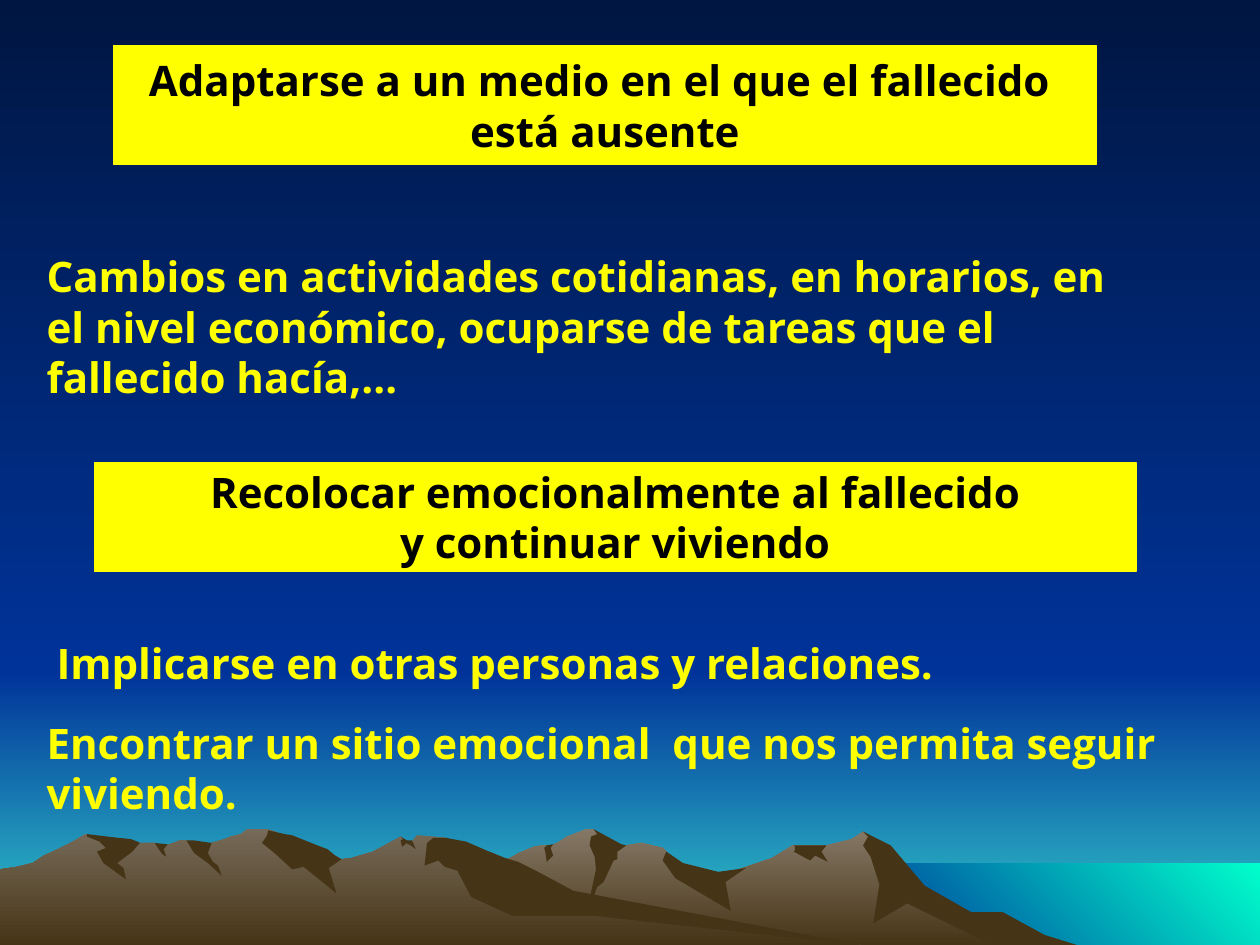
"""Build the slide on adapting to a loss, set over a mountain landscape."""
from pptx import Presentation
from pptx.dml.color import RGBColor
from pptx.enum.shapes import MSO_SHAPE as Shape
from pptx.enum.text import MSO_ANCHOR as Anchor, MSO_AUTO_SIZE as AutoSize, PP_ALIGN as Align
from pptx.util import Cm, Pt

NIGHT = RGBColor(0x00, 0x16, 0x42)
BLUE = RGBColor(0x00, 0x33, 0x99)
HORIZON = RGBColor(0x33, 0xCC, 0xCC)
AQUA = RGBColor(0x00, 0xFF, 0xCC)
FAR_ROCK = RGBColor(0x85, 0x78, 0x66)
NEAR_ROCK = RGBColor(0x76, 0x6A, 0x58)
BROWN = RGBColor(0x46, 0x34, 0x16)
YELLOW = RGBColor(0xFF, 0xFF, 0x00)
BLACK = RGBColor(0x00, 0x00, 0x00)

FONT = "Open Sans"
OUTLINE_UNIT = Cm(0.0254)
DOWN, UP_RIGHT = 270, 45

SKY = "1000,533 0,533 0,0 1000,0"
DUSK = "1000,750 0,750 0,533 1000,533"
SEA = "1000,752 683,752 683,685 1000,685"
FAR_RIDGE = (
    "802,740 778,727 764,723 723,698 702,671 685,660 676,666 656,671 629,671 613,681 "
    "566,697 536,690 529,676 526,673 509,669 497,671 486,673 474,661 471,658 465,658 "
    "450,664 444,668 438,671 430,671 424,672 412,677 405,681 394,685 355,698 327,709 "
    "277,739 258,751 821,751"
)
NEAR_RIDGE = (
    "690,751 667,748 432,712 354,665 331,663 327,668 323,668 318,664 296,676 279,681 "
    "271,682 260,676 236,681 223,663 219,660 212,658 196,658 191,662 183,664 178,666 "
    "168,669 160,671 148,667 143,667 132,671 128,671 123,669 111,669 94,671 68,662 "
    "56,669 46,674 35,679 26,685 14,688 0,690 0,751"
)
FAR_SHADOWS = (
    "796,724 771,724 734,703 707,671 685,660 689,664 685,671 691,680 698,702 693,733 "
    "720,717 792,752 858,751 829,742",
    "471,658 474,662 469,664 468,671 472,680 473,690 465,727 474,704 479,700 487,683 "
    "490,682 490,676 497,671 493,670",
    "529,676 528,678 526,683 536,697 580,723 576,700 592,689 570,692 542,685",
    "650,671 630,671 631,672 631,675 630,676 643,683 647,679 657,684 652,676 656,671",
    "433,677 432,673 434,671 439,670 437,673 439,679 434,684",
)
NEAR_SHADOWS = (
    "212,663 208,669 219,678 232,690 241,688 267,709 261,689 271,682 266,679 260,674 "
    "252,671 232,663 226,662 213,659",
    "370,668 354,665 344,665 339,669 337,687 348,683 353,688 363,691 374,712 407,727 "
    "472,727 690,751 683,750 455,707 427,692 411,684 401,681 386,675",
    "318,667 320,666 318,664 323,667 327,667 330,674 326,671 322,669 322,670 319,672",
    "154,667 161,668 168,669 165,677 169,684 173,687 176,695 165,685 154,677 148,667",
    "133,670 130,674 132,680 129,678 126,674 123,669",
    "109,668 111,669 105,676 93,685 98,689 100,698 82,685 77,676 84,673 79,668 69,664 "
    "69,662 77,663 94,665 104,666",
)


def blend(fill, colors, angle):
    """Give a fill a straight gradient between two colours."""
    fill.gradient()
    fill.gradient_angle = angle
    for stop, color in zip(fill.gradient_stops, colors):
        stop.color.rgb = color


def write(frame, text, color=YELLOW, align=Align.LEFT, wrap=True):
    """Write bold text in a frame, one paragraph to a line."""
    frame.word_wrap = wrap
    for index, line in enumerate(text.split("\n")):
        paragraph = frame.add_paragraph() if index else frame.paragraphs[0]
        paragraph.alignment = align
        run = paragraph.add_run()
        run.text = line
        run.font.name = FONT
        run.font.size = Pt(24)
        run.font.bold = True
        run.font.color.rgb = color


class Painter:
    """Hold the style and the current slide."""

    def __init__(self, slide):
        self.slide = slide
        self.shapes = slide.shapes

    def background(self, colors):
        """Paint the slide background from top to bottom."""
        blend(self.slide.background.fill, colors, DOWN)

    def outline(self, points, colors, angle=DOWN):
        """Draw a closed outline in one colour or in a gradient of two."""
        start, *rest = [tuple(map(int, pair.split(","))) for pair in points.split()]
        builder = self.shapes.build_freeform(*start, scale=OUTLINE_UNIT)
        builder.add_line_segments(rest, close=True)
        shape = builder.convert_to_shape()
        shape.shadow.inherit = False
        shape.line.fill.background()
        if len(colors) == 2:
            blend(shape.fill, colors, angle)
        else:
            shape.fill.solid()
            shape.fill.fore_color.rgb = colors[0]

    def heading(self, text, left, top, width, height):
        """Add a yellow bar with centred black text."""
        shape = self.shapes.add_shape(Shape.RECTANGLE, Cm(left), Cm(top), Cm(width), Cm(height))
        shape.shadow.inherit = False
        shape.fill.solid()
        shape.fill.fore_color.rgb = YELLOW
        shape.line.color.rgb = YELLOW
        shape.line.width = Pt(0.75)
        shape.text_frame.vertical_anchor = Anchor.MIDDLE
        write(shape.text_frame, text, color=BLACK, align=Align.CENTER, wrap=False)

    def body(self, text, left, top, width, height):
        """Add a yellow text block."""
        box = self.shapes.add_textbox(Cm(left), Cm(top), Cm(width), Cm(height))
        write(box.text_frame, text)
        box.text_frame.auto_size = AutoSize.SHAPE_TO_FIT_TEXT


def main():
    """Build and save the slide."""
    presentation = Presentation()
    presentation.slide_width, presentation.slide_height = Cm(25.4), Cm(19.05)
    painter = Painter(presentation.slides.add_slide(presentation.slide_layouts[6]))

    painter.background((NIGHT, BLUE))
    painter.outline(DUSK, (BLUE, HORIZON))
    painter.outline(SKY, (NIGHT, BLUE))
    painter.outline(SEA, (BLUE, AQUA), angle=UP_RIGHT)
    for ridge, rock, shadows in (
        (FAR_RIDGE, FAR_ROCK, FAR_SHADOWS),
        (NEAR_RIDGE, NEAR_ROCK, NEAR_SHADOWS),
    ):
        painter.outline(ridge, (rock, BROWN))
        for shadow in shadows:
            painter.outline(shadow, (BROWN,))

    painter.heading("Adaptarse a un medio en el que el fallecido \nestá ausente", 2.29, 0.92, 19.81, 2.4)
    painter.body(
        "Cambios en actividades cotidianas, en horarios, en el nivel económico, "
        "ocuparse de tareas que el fallecido hacía,…", 0.69, 4.93, 22.6, 3.3)
    painter.heading("Recolocar emocionalmente al fallecido\ny continuar viviendo", 1.9, 9.32, 21, 2.2)
    painter.body("Implicarse en otras personas y relaciones.", 0.89, 12.73, 23.01, 1.27)
    painter.body(
        "Encontrar un sitio emocional  que nos permita seguir viviendo.", 0.69, 14.33, 23.22, 2.29)

    presentation.save("out.pptx")


if __name__ == "__main__":
    main()
